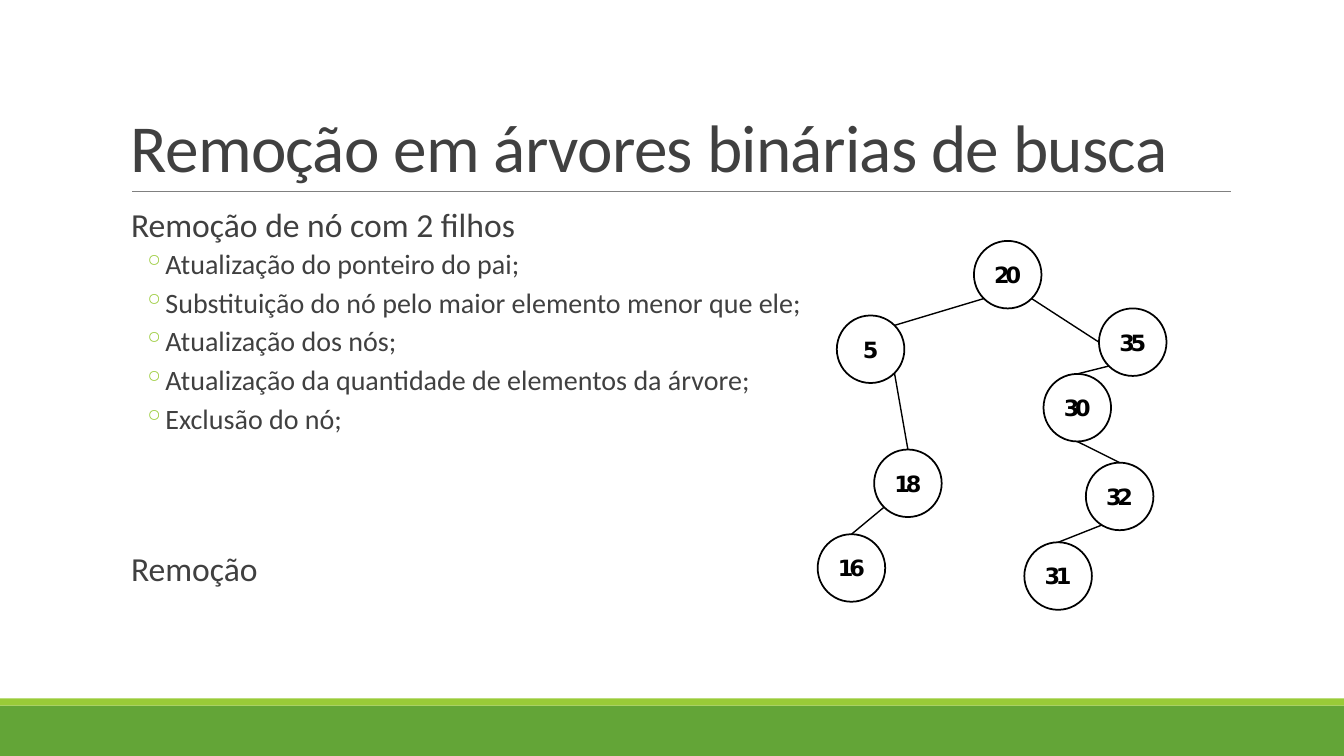
from dataclasses import dataclass
from math import cos, radians, sin

from lxml.etree import SubElement
from pptx import Presentation
from pptx.dml.color import RGBColor
from pptx.enum.shapes import MSO_CONNECTOR, MSO_SHAPE
from pptx.enum.text import MSO_ANCHOR, PP_ALIGN
from pptx.oxml.ns import qn
from pptx.util import Inches, Pt


@dataclass(frozen=True)
class Theme:
    text: str = "404040"
    rule: str = "808080"
    ink: str = "000000"
    paper: str = "FFFFFF"
    green: str = "63A537"
    lime: str = "99CB38"
    body_font: str = "Calibri"
    node_font: str = "DejaVu Sans"
    title_size: int = 48
    lead_size: int = 24
    item_size: int = 20
    node_size: int = 16


def color(value):
    return RGBColor.from_string(value)


def write(para, text, *, size, font, ink, bold=False, tracking=0, align=PP_ALIGN.LEFT,
          line=1.0, before=0, after=0, margin=0.0, hanging=0.0, bullet=None, bullet_color=None):
    """Fill one paragraph with a single formatted run."""
    para.alignment = align
    para.line_spacing = line
    para.space_before, para.space_after = Pt(before), Pt(after)
    properties = para._p.get_or_add_pPr()
    properties.set("marL", str(Inches(margin)))
    properties.set("indent", str(-Inches(hanging)))
    if bullet:
        tint = SubElement(properties, qn("a:buClr"))
        SubElement(tint, qn("a:srgbClr")).set("val", bullet_color)
        SubElement(properties, qn("a:buChar")).set("char", bullet)
    span = para.add_run()
    span.text = text
    span.font.size, span.font.name, span.font.bold = Pt(size), font, bold
    span.font.color.rgb = color(ink)
    if tracking:
        span._r.get_or_add_rPr().set("spc", str(round(tracking * 100)))


class SlideBuilder:
    def __init__(self, page, theme):
        self.page = page
        self.theme = theme

    def shape(self, kind, left, top, width, height, fill, outline=None, weight=1.25):
        shape = self.page.shapes.add_shape(
            kind, Inches(left), Inches(top), Inches(width), Inches(height))
        shape.shadow.inherit = False
        shape.fill.solid()
        shape.fill.fore_color.rgb = color(fill)
        if outline:
            shape.line.color.rgb = color(outline)
            shape.line.width = Pt(weight)
        else:
            shape.line.fill.background()
        return shape

    def line(self, start, end, ink, weight):
        points = [Inches(value) for value in (*start, *end)]
        connector = self.page.shapes.add_connector(MSO_CONNECTOR.STRAIGHT, *points)
        connector.line.color.rgb = color(ink)
        connector.line.width = Pt(weight)
        SubElement(connector._element.spPr, qn("a:effectLst"))

    def text_box(self, left, top, width, height, anchor=MSO_ANCHOR.TOP, side=0.1):
        box = self.page.shapes.add_textbox(
            Inches(left), Inches(top), Inches(width), Inches(height))
        frame = box.text_frame
        frame.word_wrap = True
        frame.vertical_anchor = anchor
        frame.margin_left = frame.margin_right = Inches(side)
        return frame

    def node(self, label, left, top):
        theme = self.theme
        circle = self.shape(MSO_SHAPE.OVAL, left, top, NODE_SIZE, NODE_SIZE,
                            theme.paper, theme.ink)
        frame = circle.text_frame
        frame.word_wrap = False
        frame.vertical_anchor = MSO_ANCHOR.MIDDLE
        write(frame.paragraphs[0], label, size=theme.node_size, font=theme.node_font,
              ink=theme.ink, bold=True, tracking=-3, align=PP_ALIGN.CENTER)

    def edge(self, parent, parent_angle, child, child_angle):
        self.line(rim_point(parent, parent_angle), rim_point(child, child_angle),
                  self.theme.ink, 1)


# Tree: top-left corner of each node, and edges between angles on the rims
NODE_SIZE = 0.67
NODES = {
    "20": (9.66, 2.39), "5": (8.3, 3.13), "35": (10.9, 3.06), "30": (10.35, 3.71),
    "18": (8.67, 4.46), "32": (10.77, 4.59), "16": (8.11, 5.3), "31": (10.16, 5.38),
}
# Angles run clockwise from the right
TOP, TOP_RIGHT, BOTTOM_RIGHT, BOTTOM, BOTTOM_LEFT, LEFT = -90, -45, 45, 90, 135, 180
EDGES = [
    ("20", BOTTOM_LEFT, "5", TOP_RIGHT),
    ("20", BOTTOM_RIGHT, "35", LEFT),
    ("35", BOTTOM_LEFT, "30", TOP),
    ("30", BOTTOM, "32", TOP),
    ("32", 122, "31", TOP),
    ("18", BOTTOM_LEFT, "16", TOP),
    ("5", BOTTOM_RIGHT, "18", TOP),
]
STEPS = [
    "Atualização do ponteiro do pai;",
    "Substituição do nó pelo maior elemento menor que ele;",
    "Atualização dos nós;",
    "Atualização da quantidade de elementos da árvore;",
    "Exclusão do nó;",
]


def rim_point(label, angle):
    left, top = NODES[label]
    radius = NODE_SIZE / 2
    return (left + radius * (1 + cos(radians(angle))),
            top + radius * (1 + sin(radians(angle))))


def main():
    deck = Presentation()
    deck.slide_width, deck.slide_height = Inches(13.33), Inches(7.5)
    theme = Theme()
    builder = SlideBuilder(deck.slides.add_slide(deck.slide_layouts[6]), theme)

    # Footer bands and title rule
    builder.shape(MSO_SHAPE.RECTANGLE, 0, 7, 13.33, 0.5, theme.green)
    builder.shape(MSO_SHAPE.RECTANGLE, 0, 6.93, 13.33, 0.07, theme.lime)
    builder.line((1.31, 1.9), (12.21, 1.9), theme.rule, 0.5)

    # Title
    title = builder.text_box(1.2, 0.31, 11, 1.59, MSO_ANCHOR.BOTTOM)
    write(title.paragraphs[0], "Remoção em árvores binárias de busca",
          size=theme.title_size, font=theme.body_font, ink=theme.text,
          tracking=-0.5, line=0.85)

    # Body: lead line, bulleted steps, closing line
    body = builder.text_box(1.2, 2.02, 11, 4.4, side=0)
    common = dict(font=theme.body_font, ink=theme.text, line=0.9)
    lead = dict(common, size=theme.lead_size, after=2, margin=0.1)
    step_style = dict(common, size=theme.item_size, before=2, after=4, margin=0.42,
                      hanging=0.2, bullet="◦", bullet_color=theme.lime)
    write(body.paragraphs[0], "Remoção de nó com 2 filhos", before=12, **lead)
    for step in STEPS:
        write(body.add_paragraph(), step, **step_style)
    write(body.add_paragraph(), "Remoção", before=80, **lead)

    # Binary search tree
    for label, corner in NODES.items():
        builder.node(label, *corner)
    for edge in EDGES:
        builder.edge(*edge)

    deck.save("out.pptx")


if __name__ == "__main__":
    main()
